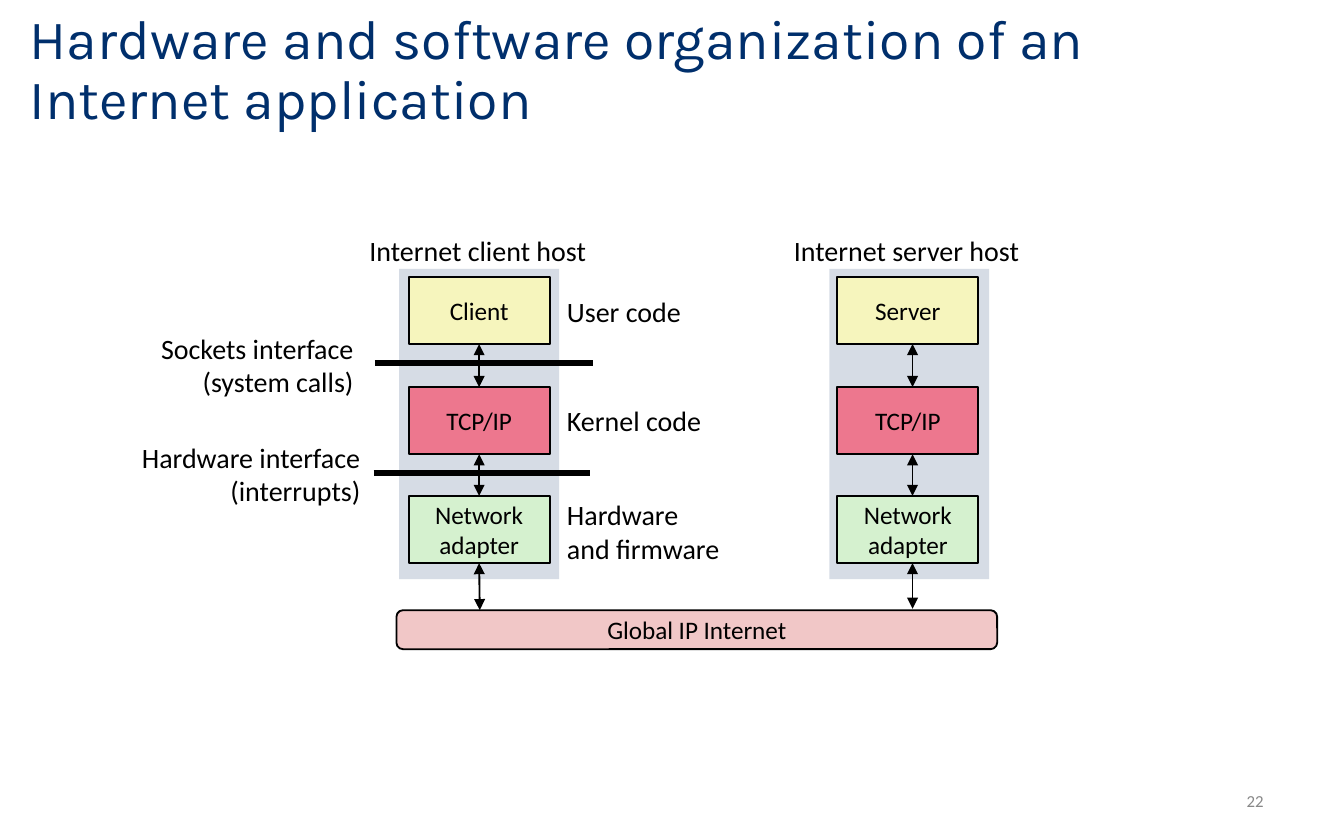
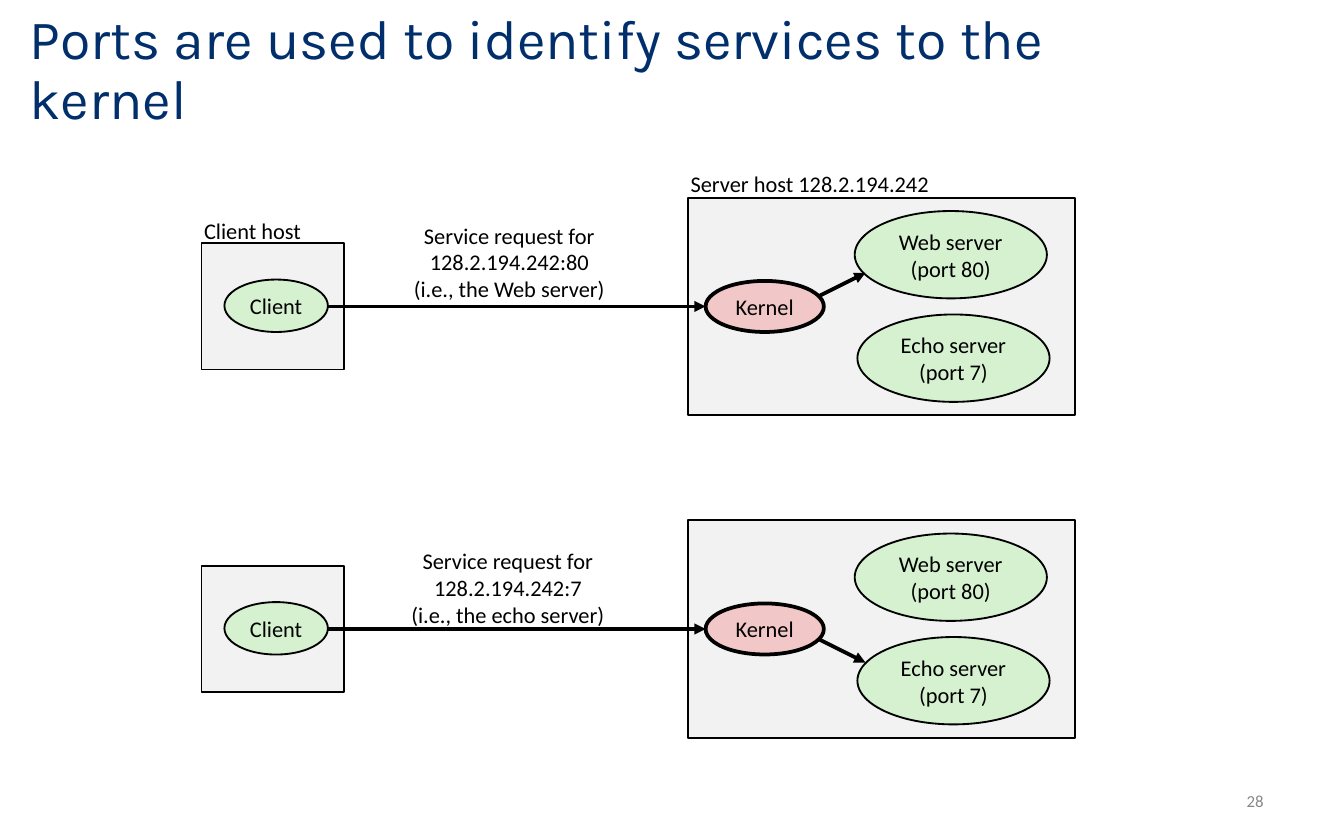
from dataclasses import dataclass
from typing import NamedTuple, Optional

from lxml import etree
from pptx import Presentation
from pptx.dml.color import RGBColor
from pptx.enum.shapes import MSO_CONNECTOR, MSO_SHAPE as Geometry
from pptx.enum.text import MSO_ANCHOR as Anchor, MSO_AUTO_SIZE as AutoSize, PP_ALIGN as Align
from pptx.oxml.ns import qn
from pptx.shapes.autoshape import Shape
from pptx.shapes.connector import Connector
from pptx.slide import Slide
from pptx.text.text import TextFrame
from pptx.util import Inches, Pt

COLORS = {
    "title": "002F6C",
    "number": "888888",
    "ink": "000000",
    "host": "D6DCE5",
    "frame": "F2F2F2",
    "user": "F6F5BD",
    "kernel": "ED778E",
    "green": "D5F1CF",
    "pink": "F1C7C7",
}
BODY_FONT = "Calibri"
TITLE_FONT = "Karla"
TITLE_ONLY = 5


class Area(NamedTuple):
    left: float
    top: float
    width: float
    height: float

    def lengths(self) -> list[Inches]:
        return [Inches(value) for value in self]


class Point(NamedTuple):
    x: float
    y: float


@dataclass(frozen=True)
class Label:
    text: str
    area: Area
    align: Align = Align.LEFT
    wrap: bool = False


@dataclass(frozen=True)
class Layer:
    text: str
    top: float
    color: str


@dataclass(frozen=True)
class Host:
    program: str
    panel_left: float
    box_left: float
    arrow_x: float
    internet_y: float
    joined: bool


@dataclass(frozen=True)
class Request:
    rise: float
    caption: Label
    service_y: float
    kernel_y: float


TITLE_AREA = Area(0.12, 0.1, 8.52, 0.86)
NUMBER_AREA = Area(8, 5.79, 1.5, 0.33)

BOX_WIDTH, BOX_HEIGHT = 1.05, 0.5
LOWER_LAYERS = [
    Layer("TCP/IP", 2.88, "kernel"),
    Layer("Network\nadapter", 3.69, "green"),
]
HOSTS = [
    Host("Client", 2.97, 3.04, 3.57, 4.54, joined=True),
    Host("Server", 6.17, 6.23, 6.79, 4.53, joined=False),
]
STACK_LABELS = [
    Label("Internet client host", Area(2.64, 1.69, 1.83, 0.35), Align.CENTER),
    Label("Internet server host", Area(5.8, 1.69, 1.89, 0.35), Align.CENTER),
    Label("Sockets interface\n(system calls)", Area(1.06, 2.41, 1.67, 0.61), Align.RIGHT),
    Label("Hardware interface\n(interrupts)", Area(0.93, 3.22, 1.85, 0.61), Align.RIGHT),
    Label("User code", Area(4.12, 2.14, 1.06, 0.35)),
    Label("Kernel code", Area(4.12, 2.95, 1.21, 0.35)),
    Label("Hardware\nand firmware", Area(4.12, 3.65, 1.35, 0.61)),
]
INTERFACES = [
    (Point(2.79, 2.7), Point(4.41, 2.7)),
    (Point(2.78, 3.52), Point(4.39, 3.52)),
]

HOST_LABELS = [
    Label("Client host", Area(1.42, 1.57, 0.93, 0.3)),
    Label("Server host 128.2.194.242", Area(5.04, 1.22, 2, 0.3)),
]
REQUESTS = [
    Request(0, Label("Service request for\n128.2.194.242:80\n(i.e., the Web server)",
                     Area(2.7, 1.6, 2.18, 0.71), Align.CENTER, wrap=True), 2.03, 2.22),
    Request(2.4, Label("Service request for\n128.2.194.242:7\n(i.e., the echo server)",
                       Area(2.95, 4.02, 1.66, 0.71), Align.CENTER), 4.93, 4.74),
]


def rgb(name: str) -> RGBColor:
    return RGBColor.from_string(COLORS[name])


def write(frame: TextFrame, text: str, size: float, color: str = "ink",
          font: str = BODY_FONT, align: Align = Align.LEFT) -> None:
    """Put each line of the text into a paragraph of its own."""
    for index, line in enumerate(text.split("\n")):
        paragraph = frame.add_paragraph() if index else frame.paragraphs[0]
        paragraph.alignment = align
        run = paragraph.add_run()
        run.text = line
        run.font.size = Pt(size)
        run.font.name = font
        run.font.color.rgb = rgb(color)


def set_insets(frame: TextFrame, side: float, upright: float) -> None:
    frame.margin_left = frame.margin_right = Inches(side)
    frame.margin_top = frame.margin_bottom = Inches(upright)


def add_block(slide: Slide, geometry: Geometry, area: Area, color: str, text: str = "",
              size: float = 12, line: Optional[float] = 1, tight: bool = False) -> Shape:
    block = slide.shapes.add_shape(geometry, *area.lengths())
    block.shadow.inherit = False
    block.fill.solid()
    block.fill.fore_color.rgb = rgb(color)
    if line is None:
        block.line.fill.background()
    else:
        block.line.color.rgb = rgb("ink")
        block.line.width = Pt(line)
    if text:
        frame = block.text_frame
        frame.word_wrap = False
        frame.vertical_anchor = Anchor.MIDDLE
        if tight:
            set_insets(frame, 0.07, 0.04)
        write(frame, text, size, align=Align.CENTER)
    return block


def add_label(slide: Slide, label: Label, size: float, anchor: Anchor) -> None:
    frame = slide.shapes.add_textbox(*label.area.lengths()).text_frame
    frame.word_wrap = label.wrap
    frame.auto_size = AutoSize.SHAPE_TO_FIT_TEXT
    frame.vertical_anchor = anchor
    write(frame, label.text, size, align=label.align)


def add_line(slide: Slide, start: Point, end: Point, width: float,
             head: bool = False, tail: bool = False) -> Connector:
    connector = slide.shapes.add_connector(
        MSO_CONNECTOR.STRAIGHT, *(Inches(value) for value in (*start, *end)))
    connector.line.color.rgb = rgb("ink")
    connector.line.width = Pt(width)
    stroke = connector.line._get_or_add_ln()
    for wanted, tag in ((head, "a:headEnd"), (tail, "a:tailEnd")):
        if wanted:
            etree.SubElement(stroke, qn(tag), type="triangle")
    etree.SubElement(connector._element.spPr, qn("a:effectLst"))
    return connector


def add_titled_slide(deck: Presentation, title: str, number: int) -> Slide:
    slide = deck.slides.add_slide(deck.slide_layouts[TITLE_ONLY])
    heading = slide.shapes.title
    heading.left, heading.top, heading.width, heading.height = TITLE_AREA.lengths()
    frame = heading.text_frame
    frame.word_wrap = True
    frame.auto_size = AutoSize.NONE
    frame.vertical_anchor = Anchor.MIDDLE
    set_insets(frame, 0.1, 0.05)
    write(frame, title, 29.7, "title", TITLE_FONT)
    frame.paragraphs[0].line_spacing = 0.9

    footer = slide.shapes.add_textbox(*NUMBER_AREA.lengths()).text_frame
    footer.word_wrap = True
    footer.vertical_anchor = Anchor.MIDDLE
    write(footer, str(number), 9, "number", align=Align.RIGHT)
    return slide


def add_host(slide: Slide, host: Host, internet_top: float) -> None:
    """Stack a host's layers and link each one to the layer below."""
    add_block(slide, Geometry.RECTANGLE, Area(host.panel_left, 2, 1.19, 2.31), "host", line=None)
    layers = [Layer(host.program, 2.06, "user"), *LOWER_LAYERS]
    boxes = [
        add_block(slide, Geometry.RECTANGLE,
                  Area(host.box_left, layer.top, BOX_WIDTH, BOX_HEIGHT),
                  layer.color, layer.text, 13.5)
        for layer in layers
    ]
    ends = [layer.top for layer in layers[1:]] + [internet_top]
    for index, (layer, end) in enumerate(zip(layers, ends)):
        link = add_line(slide, Point(host.arrow_x, layer.top + BOX_HEIGHT),
                        Point(host.arrow_x, end), 1, head=True, tail=True)
        if host.joined:
            link.begin_connect(boxes[index], 2)
            if index + 1 < len(boxes):
                link.end_connect(boxes[index + 1], 0)


def build_organization(deck: Presentation) -> None:
    slide = add_titled_slide(
        deck, "Hardware and software organization of an Internet application", 22)
    for host in HOSTS:
        add_host(slide, host, host.internet_y)
    internet = add_block(slide, Geometry.ROUNDED_RECTANGLE, Area(2.95, 4.54, 4.47, 0.29),
                         "pink", "Global IP Internet", 13.5)
    internet.adjustments[0] = 0.17
    for label in STACK_LABELS:
        add_label(slide, label, 15, Anchor.MIDDLE)
    for start, end in INTERFACES:
        add_line(slide, start, end, 3)


def add_request(slide: Slide, request: Request) -> None:
    """Draw one client asking one of the two services on the server."""
    down = request.rise
    add_block(slide, Geometry.RECTANGLE, Area(1.5, 1.81 + down, 1.06, 0.94), "frame")
    add_block(slide, Geometry.RECTANGLE, Area(5.12, 1.47 + down, 2.88, 1.62), "frame")
    add_block(slide, Geometry.OVAL, Area(6.36, 1.57 + down, 1.43, 0.65), "green",
              "Web server\n(port 80)", tight=True)
    add_block(slide, Geometry.OVAL, Area(6.38, 2.34 + down, 1.43, 0.65), "green",
              "Echo server\n(port 7)", tight=True)
    add_label(slide, request.caption, 12, Anchor.TOP)
    add_line(slide, Point(2.44, 2.28 + down), Point(5.25, 2.28 + down), 2, tail=True)
    add_line(slide, Point(6.06, request.kernel_y), Point(6.44, request.service_y), 2, tail=True)
    add_block(slide, Geometry.OVAL, Area(5.25, 2.09 + down, 0.88, 0.38), "pink", "Kernel", line=2)
    add_block(slide, Geometry.OVAL, Area(1.67, 2.08 + down, 0.77, 0.39), "green", "Client",
              tight=True)


def build_ports(deck: Presentation) -> None:
    slide = add_titled_slide(deck, "Ports are used to identify services to the kernel", 28)
    for request in REQUESTS:
        add_request(slide, request)
    for label in HOST_LABELS:
        add_label(slide, label, 12, Anchor.TOP)


def main() -> None:
    deck = Presentation()
    deck.slide_width, deck.slide_height = Inches(10), Inches(6.25)
    build_organization(deck)
    build_ports(deck)
    deck.save("out.pptx")


if __name__ == "__main__":
    main()
